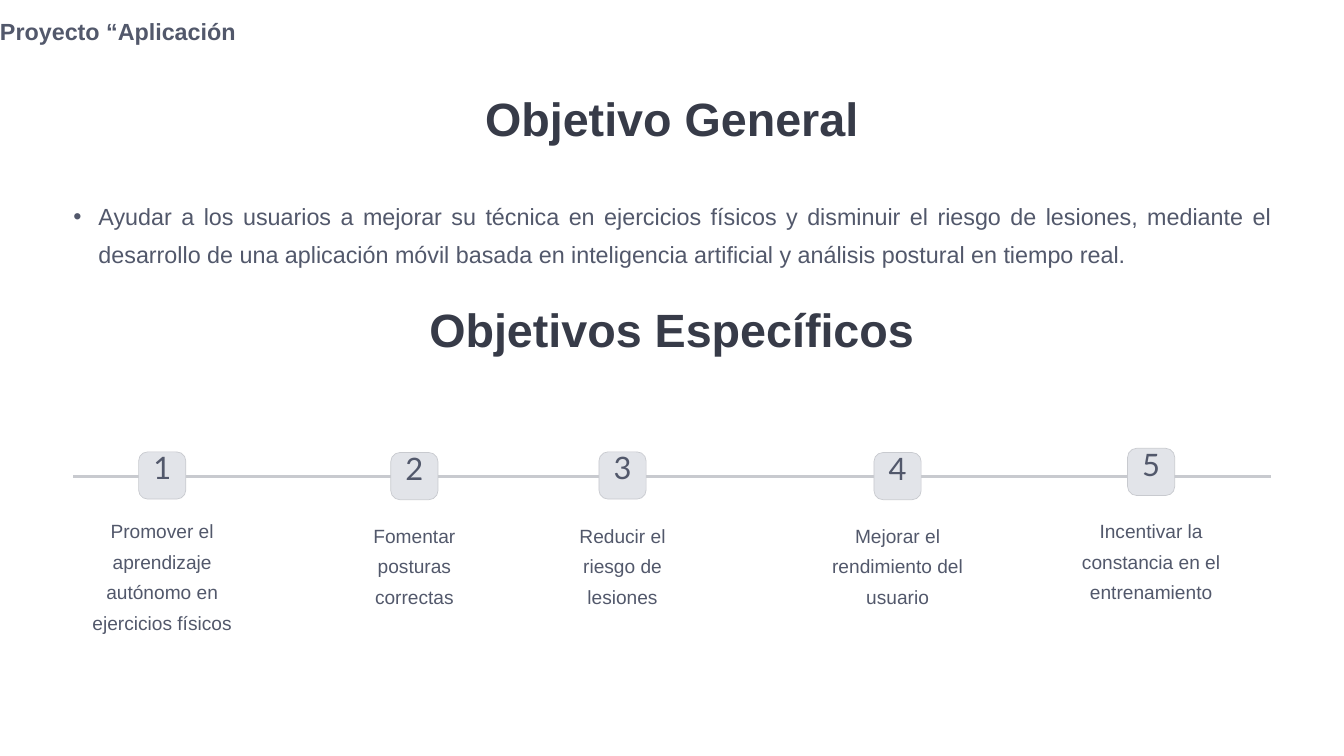
"""Build the project objectives slide."""
from dataclasses import dataclass

from lxml import etree
from pptx import Presentation
from pptx.dml.color import RGBColor
from pptx.enum import shapes, text
from pptx.oxml import ns
from pptx.util import Pt


@dataclass(frozen=True)
class Theme:
    """Colours, fonts and type sizes."""
    dark: str = "373B48"
    ink: str = "52586B"
    rule: str = "C8CACF"
    tile: str = "E2E4E9"
    sans: str = "Arial"
    digits: str = "Lato"
    title: float = 50
    body: float = 25
    number: float = 33.1
    label: float = 20.5


class Deck:
    """Hold the theme and the current slide."""

    def __init__(self, prs, theme):
        """Add a slide with a title and a body."""
        self.t = theme
        self.s = prs.slides.add_slide(prs.slide_layouts[1])

    def set_text(self, sp, box, words, size, leading, color=None, font=None,
                 bold=False, align=text.PP_ALIGN.CENTER):
        """Place a text shape and format its single paragraph."""
        sp.left, sp.top, sp.width, sp.height = map(Pt, box)
        tf = sp.text_frame
        tf.text = words
        tf.word_wrap = True
        tf.auto_size = text.MSO_AUTO_SIZE.NONE
        tf.vertical_anchor = text.MSO_ANCHOR.TOP
        tf.margin_left = tf.margin_top = tf.margin_right = tf.margin_bottom = 0
        p = tf.paragraphs[0]
        p.alignment, p.line_spacing, p.space_before = align, Pt(leading), Pt(0)
        f = p.runs[0].font
        f.name, f.size, f.bold = font or self.t.sans, Pt(size), bold
        f.color.rgb = RGBColor.from_string(color or self.t.ink)

    def textbox(self, box, *args, **kwargs):
        """Add a text box."""
        sp = self.s.shapes.add_textbox(*map(Pt, box))
        self.set_text(sp, box, *args, **kwargs)

    def heading(self, top, words, sp=None):
        """Add a full-width heading, in a placeholder if one is given."""
        box = (0, top, 1440, 70)
        if sp is None:
            sp = self.s.shapes.add_textbox(*map(Pt, box))
        self.set_text(sp, box, words, self.t.title, 62.4,
                      color=self.t.dark, bold=True)

    def body(self, box, words):
        """Fill the body placeholder with an unbulleted, justified paragraph."""
        sp = self.s.placeholders[1]
        pPr = sp.text_frame.paragraphs[0]._p.get_or_add_pPr()
        pPr.set("marL", "0")
        pPr.set("indent", "0")
        etree.SubElement(pPr, ns.qn("a:buNone"))
        self.set_text(sp, box, words, self.t.body, 40.7,
                      align=text.PP_ALIGN.JUSTIFY)

    def line(self, x1, x2, y):
        """Draw the horizontal timeline."""
        ln = self.s.shapes.add_connector(
            shapes.MSO_CONNECTOR.STRAIGHT, Pt(x1), Pt(y), Pt(x2), Pt(y))
        ln.line.width = Pt(3)
        ln.line.color.rgb = RGBColor.from_string(self.t.rule)
        etree.SubElement(ln._element.spPr, ns.qn("a:effectLst"))

    def step(self, number, center, top, label_top, width, height, words):
        """Draw a numbered tile with its label below."""
        side = 50.5
        sp = self.s.shapes.add_shape(
            shapes.MSO_SHAPE.ROUNDED_RECTANGLE,
            Pt(center - side / 2), Pt(top), Pt(side), Pt(side))
        sp.adjustments[0] = 0.19
        sp.shadow.inherit = False
        sp.fill.solid()
        sp.fill.fore_color.rgb = RGBColor.from_string(self.t.tile)
        sp.line.width = Pt(0.75)
        sp.line.color.rgb = RGBColor.from_string(self.t.rule)
        self.textbox((center - 17, top + 3.3, 34, 42.5), str(number),
                     self.t.number, 33.1, font=self.t.digits)
        self.textbox((center - width / 2, label_top, width, height), words,
                     self.t.label, 32.9)


STEPS = [
    (173.8, 484.2, 548, 174, 130, "Promover el aprendizaje autónomo en ejercicios físicos"),
    (444, 484.9, 553, 146, 98, "Fomentar posturas correctas"),
    (667, 484.2, 553, 146, 98, "Reducir el riesgo de lesiones"),
    (961.7, 484.9, 553, 146, 98, "Mejorar el rendimiento del usuario"),
    (1233.4, 480.4, 548, 167, 98, "Incentivar la constancia en el entrenamiento"),
]


def main():
    """Build and save the slide."""
    prs = Presentation()
    prs.slide_width, prs.slide_height = Pt(1440), Pt(810)
    deck = Deck(prs, Theme())
    deck.heading(93.6, "Objetivo General", deck.s.shapes.title)
    deck.body((78.5, 206, 1283.5, 82),
              "Ayudar a los usuarios a mejorar su técnica en ejercicios físicos y "
              "disminuir el riesgo de lesiones, mediante el desarrollo de una "
              "aplicación móvil basada en inteligencia artificial y análisis "
              "postural en tiempo real.")
    deck.line(78.5, 1362, 510.7)
    for number, step in enumerate(STEPS, 1):
        deck.step(number, *step)
    deck.heading(319.7, "Objetivos Específicos")
    deck.textbox((0, 8, 479, 42), "Proyecto “Aplicación", deck.t.body, 40.8,
                 bold=True, align=text.PP_ALIGN.LEFT)
    prs.save("out.pptx")


if __name__ == "__main__":
    main()
